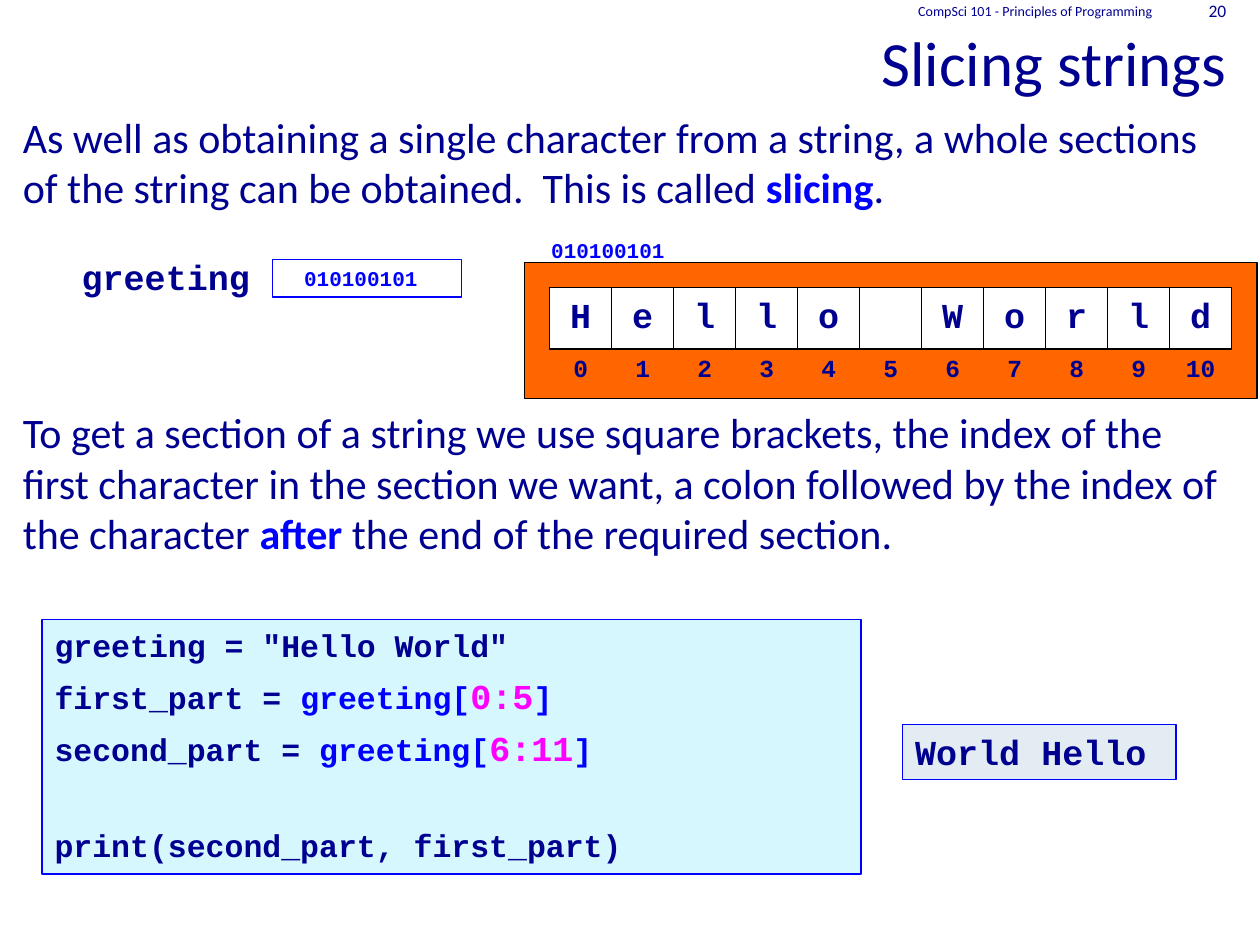
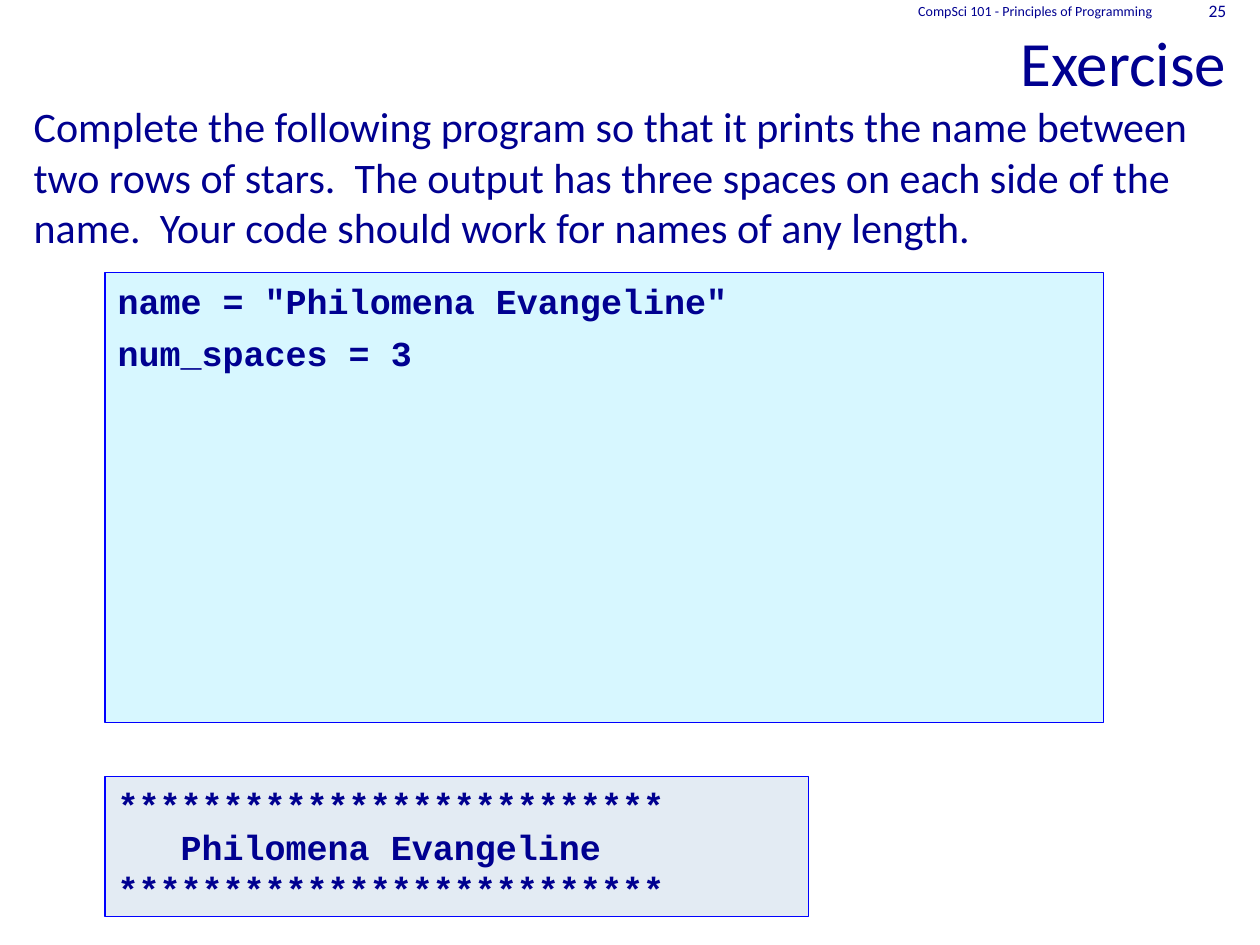
from pptx import Presentation
from pptx.dml.color import RGBColor
from pptx.enum.shapes import MSO_SHAPE as Shape
from pptx.enum.text import MSO_ANCHOR as Anchor, PP_ALIGN as Align
from pptx.util import Cm, Pt

NAVY, BLUE, MAGENTA = "000090", "0000FF", "FF00FF"
BLACK, WHITE, ORANGE = "000000", "FFFFFF", "FF6600"
CODE_FILL, OUTPUT_FILL = "D7F7FF", "E3EBF3"

PROSE = {"name": "Calibri", "size": Pt(24), "bold": False}
TITLE = {**PROSE, "size": Pt(36)}
COURSE = {**PROSE, "size": Pt(8)}
NUMBER = {**PROSE, "size": Pt(10)}
CODE = {"name": "Courier New", "size": Pt(20), "bold": True}
SMALL_CODE = {**CODE, "size": Pt(18)}
INDEX = {**CODE, "size": Pt(14)}
ADDRESS = {**CODE, "size": Pt(12)}
# Room on the right that moves a centred address half a character left
ADDRESS_MARGINS = {"margin_right": Cm(0.51)}
NO_SIDES = {"margin_left": 0, "margin_right": 0}
NO_ENDS = {"margin_top": 0, "margin_bottom": 0}


def color(hex_value):
    return RGBColor.from_string(hex_value)


def set_all(target, values):
    for key, value in values.items():
        setattr(target, key, value)


def write(shape, lines, font, ink=NAVY, align=Align.LEFT, anchor=Anchor.TOP,
          gaps=(), margins=None):
    """Fill a shape with lines; a line is a string or a list of
    (text, colour, font changes) runs, and gaps holds points before each."""
    frame = shape.text_frame
    set_all(frame, {"word_wrap": True, "vertical_anchor": anchor, **(margins or {})})
    for number, line in enumerate(lines):
        paragraph = frame.paragraphs[0] if number == 0 else frame.add_paragraph()
        paragraph.alignment = align
        if number and gaps:
            paragraph.space_before = Pt(gaps[number])
        runs = [(line, ink, {})] if isinstance(line, str) else line
        for text, run_color, changes in runs:
            run = paragraph.add_run()
            run.text = text
            set_all(run.font, {**font, **changes})
            run.font.color.rgb = color(run_color)


def add_text(slide, place, lines, font, **options):
    write(slide.shapes.add_textbox(*map(Cm, place)), lines, font, **options)


def add_box(slide, place, fill=None, line=BLUE):
    box = slide.shapes.add_shape(Shape.RECTANGLE, *map(Cm, place))
    box.shadow.inherit = False
    if fill:
        box.fill.solid()
        box.fill.fore_color.rgb = color(fill)
    else:
        box.fill.background()
    box.line.color.rgb = color(line)
    box.line.width = Pt(0.75)
    return box


def add_slide(deck, title, number):
    """Start a slide with the shared title, course name and slide number."""
    slide = deck.slides.add_slide(deck.slide_layouts[6])
    add_text(slide, (0, 0, 24.97, 2.12), [title], TITLE,
             align=Align.RIGHT, anchor=Anchor.BOTTOM)
    for place, text, font in (
            ((15.87, 0, 7.62, 0.43), "CompSci 101 - Principles of Programming", COURSE),
            ((23.5, 0, 1.47, 0.43), str(number), NUMBER)):
        add_text(slide, place, [text], font, align=Align.RIGHT,
                 anchor=Anchor.MIDDLE, margins=NO_ENDS)
    return slide


def add_memory(slide, text):
    """Draw a string as a row of cells with an index under each."""
    left, top, side = 11.08, 5.79, 1.25
    add_box(slide, (10.58, 5.29, 14.76, 2.74), ORANGE, BLACK)
    for index, letter in enumerate(text):
        x = left + index * side
        cell = add_box(slide, (x, top, side, side), WHITE, BLACK)
        if letter != " ":
            write(cell, [letter], CODE, align=Align.CENTER, margins=NO_SIDES)
        add_text(slide, (x, 6.99, side, 0.86), [str(index)], INDEX,
                 align=Align.CENTER, margins=NO_SIDES)


def add_variable(slide, name, address):
    """Draw a variable whose address matches the label on the memory box."""
    add_text(slide, (1.4, 5.03, 3.89, 1.09), [name], CODE, align=Align.CENTER,
             margins=NO_SIDES)
    address_style = {"font": ADDRESS, "ink": BLUE, "align": Align.CENTER,
                     "margins": ADDRESS_MARGINS}
    write(add_box(slide, (5.5, 5.23, 3.81, 0.76)), [address], **address_style)
    add_text(slide, (10.58, 4.66, 3.61, 0.76), [address], **address_style)


def slice_line(target, bounds):
    return [(f"{target} = ", NAVY, {}), ("greeting[", BLUE, {}),
            (bounds, MAGENTA, {"size": Pt(20)}), ("]", BLUE, {})]


def emphasised(before, word, after):
    return [(before, NAVY, {}), (word, BLUE, {"bold": True}), (after, NAVY, {})]


def build_slicing(deck):
    slide = add_slide(deck, "Slicing strings", 20)
    add_text(slide, (0.21, 2.12, 24.77, 2.4), [emphasised(
        "As well as obtaining a single character from a string, a whole sections "
        "of the string can be obtained.  This is called ", "slicing", ".")], PROSE)
    add_text(slide, (0.21, 8.08, 24.77, 3.5), [emphasised(
        "To get a section of a string we use square brackets, the index of the "
        "first character in the section we want, a colon followed by the index of "
        "the character ", "after", " the end of the required section.")], PROSE)
    add_memory(slide, "Hello World")
    add_variable(slide, "greeting", "010100101")
    write(add_box(slide, (0.85, 12.49, 16.51, 5.13), CODE_FILL),
          ['greeting = "Hello World"',
           slice_line("first_part", "0:5"),
           slice_line("second_part", "6:11"),
           "print(second_part, first_part)"],
          SMALL_CODE, gaps=(0, 6, 6, 33))
    write(add_box(slide, (18.2, 14.6, 5.51, 1.12), OUTPUT_FILL),
          ["World Hello"], CODE)


def build_exercise(deck):
    slide = add_slide(deck, "Exercise", 25)
    add_text(slide, (0.43, 1.91, 24.56, 3.5), [
        "Complete the following program so that it prints the name between two "
        "rows of stars.  The output has three spaces on each side of the name.  "
        "Your code should work for names of any length."], PROSE)
    write(add_box(slide, (2.12, 5.5, 20.12, 9.07), CODE_FILL),
          ['name = "Philomena Evangeline"', "num_spaces = 3"], CODE, gaps=(0, 6))
    stars = "*" * 26
    write(add_box(slide, (2.12, 15.66, 14.18, 2.82), OUTPUT_FILL),
          [stars, "   Philomena Evangeline", stars], CODE)


def main():
    deck = Presentation()
    set_all(deck, {"slide_width": Cm(25.4), "slide_height": Cm(19.05)})
    build_slicing(deck)
    build_exercise(deck)
    deck.save("out.pptx")


if __name__ == "__main__":
    main()
